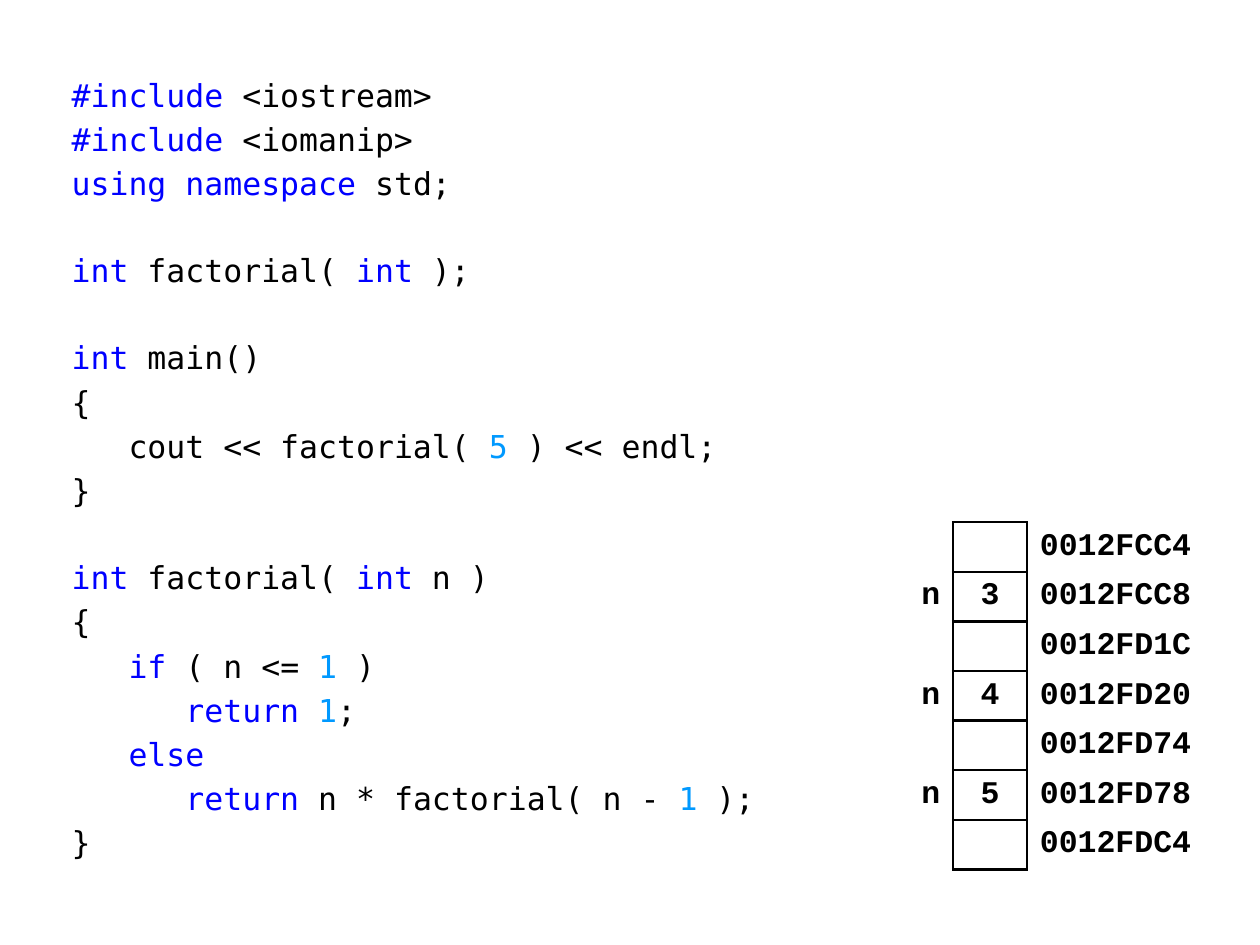
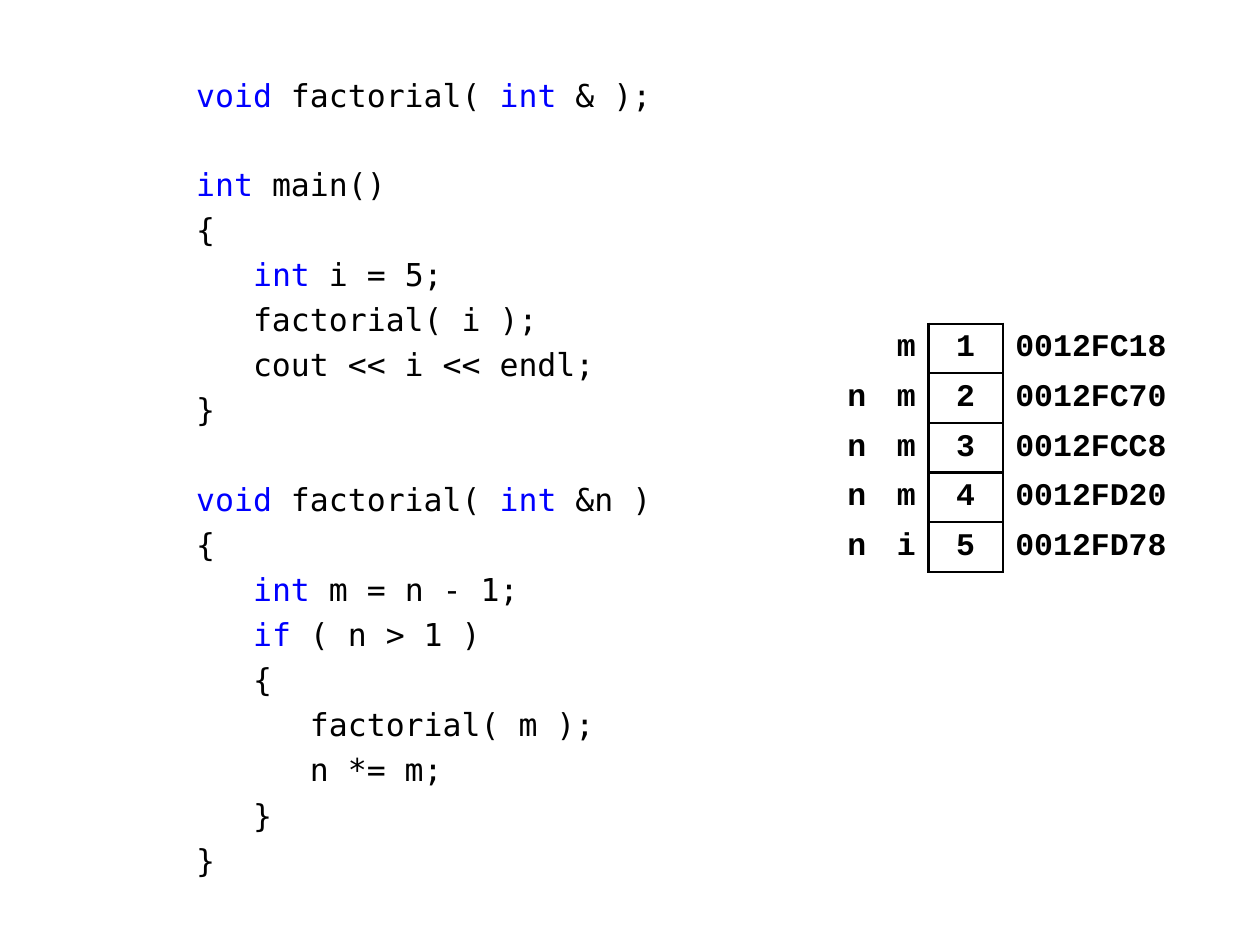
from itertools import groupby

from pptx import Presentation
from pptx.dml.color import RGBColor
from pptx.enum.text import MSO_ANCHOR as Anchor, PP_ALIGN as Align
from pptx.oxml import parse_xml
from pptx.oxml.ns import nsdecls
from pptx.util import Pt

# Shared style
BLACK, BLUE, LIGHT_BLUE = "000000", "0000FF", "0099FF"
KEYWORDS = dict.fromkeys(
    ["#include", "using", "namespace", "int", "void", "if", "else", "return"], BLUE)
LITERALS = dict.fromkeys(["1", "5"], LIGHT_BLUE)
FONT_SIZE = 18
CODE_LINE = 20.95  # height of one code line without spacing
ROW_HEIGHT = 28.35
TABLE_TOP = 185
NAME_WIDTH, VALUE_WIDTH, ADDRESS_WIDTH = 28.35, 42.5, 99.25
NO_STYLE = "{2D5ABB26-0587-4C30-8999-92F81FD0307C}"

RECURSIVE_CODE = """\
#include <iostream>
#include <iomanip>
using namespace std;

int factorial( int );

int main()
{
   cout << factorial( 5 ) << endl;
}

int factorial( int n )
{
   if ( n <= 1 )
      return 1;
   else
      return n * factorial( n - 1 );
}"""

REFERENCE_CODE = """\
void factorial( int & );

int main()
{
   int i = 5;
   factorial( i );
   cout << i << endl;
}

void factorial( int &n )
{
   int m = n - 1;
   if ( n > 1 )
   {
      factorial( m );
      n *= m;
   }
}"""

# Stack rows: variable names, value, address
RECURSIVE_STACK = [("", "", "")] * 4 + [
    ("", "", "0012FCC4"),
    ("n", "3", "0012FCC8"),
    ("", "", "0012FD1C"),
    ("n", "4", "0012FD20"),
    ("", "", "0012FD74"),
    ("n", "5", "0012FD78"),
    ("", "", "0012FDC4"),
]
REFERENCE_STACK = [
    ("", "m", "1", "0012FC18"),
    ("n", "m", "2", "0012FC70"),
    ("n", "m", "3", "0012FCC8"),
    ("n", "m", "4", "0012FD20"),
    ("n", "i", "5", "0012FD78"),
]

SLIDES = [
    dict(code=RECURSIVE_CODE, code_box=(33.85, 43.2, 411, 439), spacing=3.65,
         colors=KEYWORDS | LITERALS, stack=RECURSIVE_STACK, table_left=516.2),
    dict(code=REFERENCE_CODE, code_box=(105, 43.2, 312, 468), spacing=4.2,
         colors=KEYWORDS, stack=REFERENCE_STACK, table_left=473.8),
]


def set_font(font, name, color, bold=False):
    for attribute, value in dict(name=name, size=Pt(FONT_SIZE), bold=bold).items():
        setattr(font, attribute, value)
    font.color.rgb = RGBColor.from_string(color)


def add_border(cell, side):
    cell._tc.get_or_add_tcPr().append(parse_xml(
        f'<a:ln{side} {nsdecls("a")} w="{Pt(1.5)}"><a:solidFill>'
        f'<a:srgbClr val="{BLACK}"/></a:solidFill></a:ln{side}>'))


presentation = Presentation()
presentation.slide_width, presentation.slide_height = Pt(720), Pt(540)

for content in SLIDES:
    slide = presentation.slides.add_slide(presentation.slide_layouts[6])

    # Code listing, with an empty line turned into space before the next one
    frame = slide.shapes.add_textbox(*map(Pt, content["code_box"])).text_frame
    frame.word_wrap = True
    frame.margin_top = frame.margin_bottom = 0
    colors, spacing = content["colors"], content["spacing"]
    paragraph, gap = frame.paragraphs[0], 0
    for number, line in enumerate(content["code"].splitlines()):
        if not line:
            gap += CODE_LINE + spacing
            continue
        if number:
            paragraph = frame.add_paragraph()
            paragraph.space_before = Pt(spacing + gap)
        gap = 0
        words = ["".join(part) for _, part in
                 groupby(line, lambda character: character.isalnum() or character == "#")]
        for color, group in groupby(words, lambda word: colors.get(word, BLACK)):
            run = paragraph.add_run()
            run.text = "".join(group)
            set_font(run.font, "DejaVu Sans Mono", color)

    # Stack table
    stack = content["stack"]
    name_columns = len(stack[0]) - 2
    widths = [NAME_WIDTH] * name_columns + [VALUE_WIDTH, ADDRESS_WIDTH]
    aligns = [Align.RIGHT] * name_columns + [Align.CENTER, Align.LEFT]
    borders = [""] * (name_columns - 1) + ["R", "LRTB", "L"]
    graphic = slide.shapes.add_table(
        len(stack), len(widths), Pt(content["table_left"]), Pt(TABLE_TOP),
        Pt(sum(widths)), Pt(ROW_HEIGHT * len(stack)))
    table = graphic.table
    table.first_row = table.horz_banding = False
    table._tbl.tblPr[0].text = NO_STYLE
    for column, width in zip(table.columns, widths):
        column.width = Pt(width)
    for row, texts in zip(table.rows, stack):
        row.height = Pt(ROW_HEIGHT)
        for cell, text, align, sides in zip(row.cells, texts, aligns, borders):
            if texts[-1]:
                for side in sides:
                    add_border(cell, side)
            cell.fill.background()
            cell.vertical_anchor = Anchor.MIDDLE
            cell.margin_left = Pt(7.2)
            cell.margin_right = Pt(3 if align == Align.LEFT else 7.2)
            cell.margin_top = cell.margin_bottom = Pt(3)
            paragraph = cell.text_frame.paragraphs[0]
            paragraph.text = text
            paragraph.alignment = align
            set_font(paragraph.font, "Courier New", BLACK, bold=True)

presentation.save("out.pptx")
